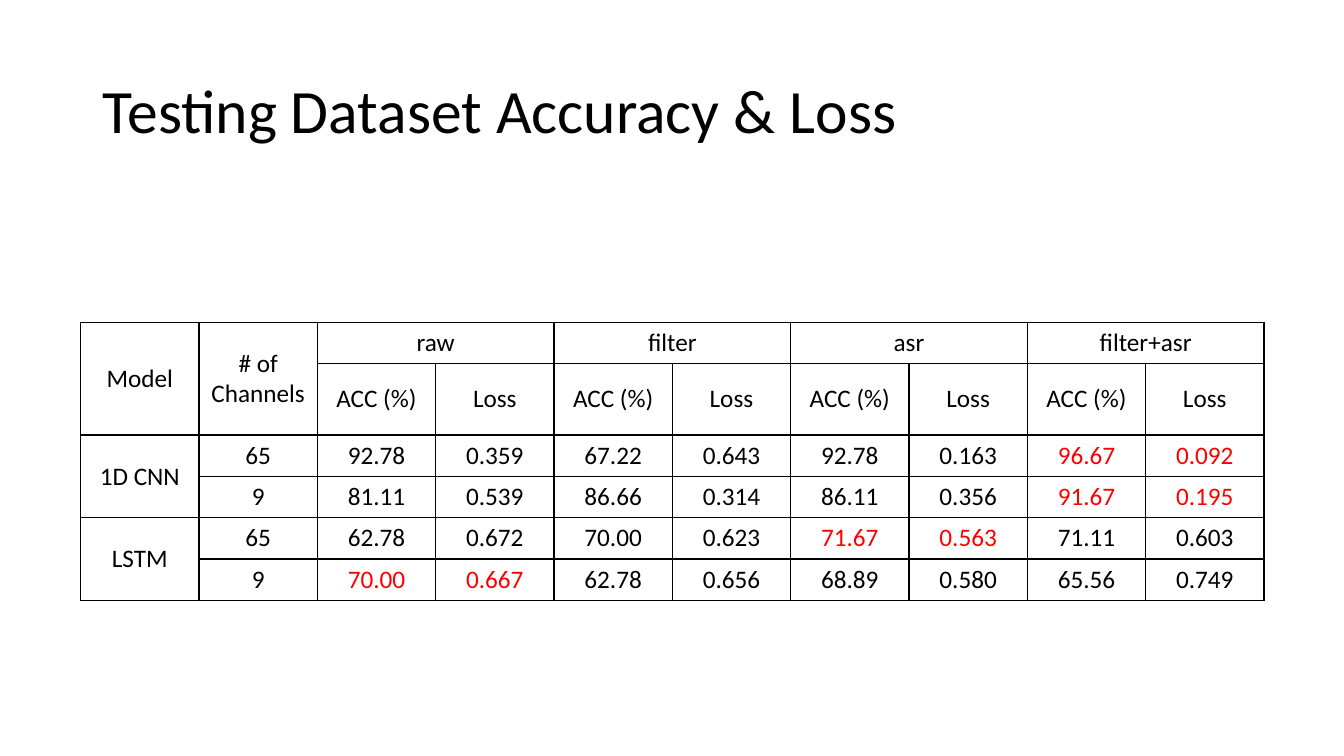
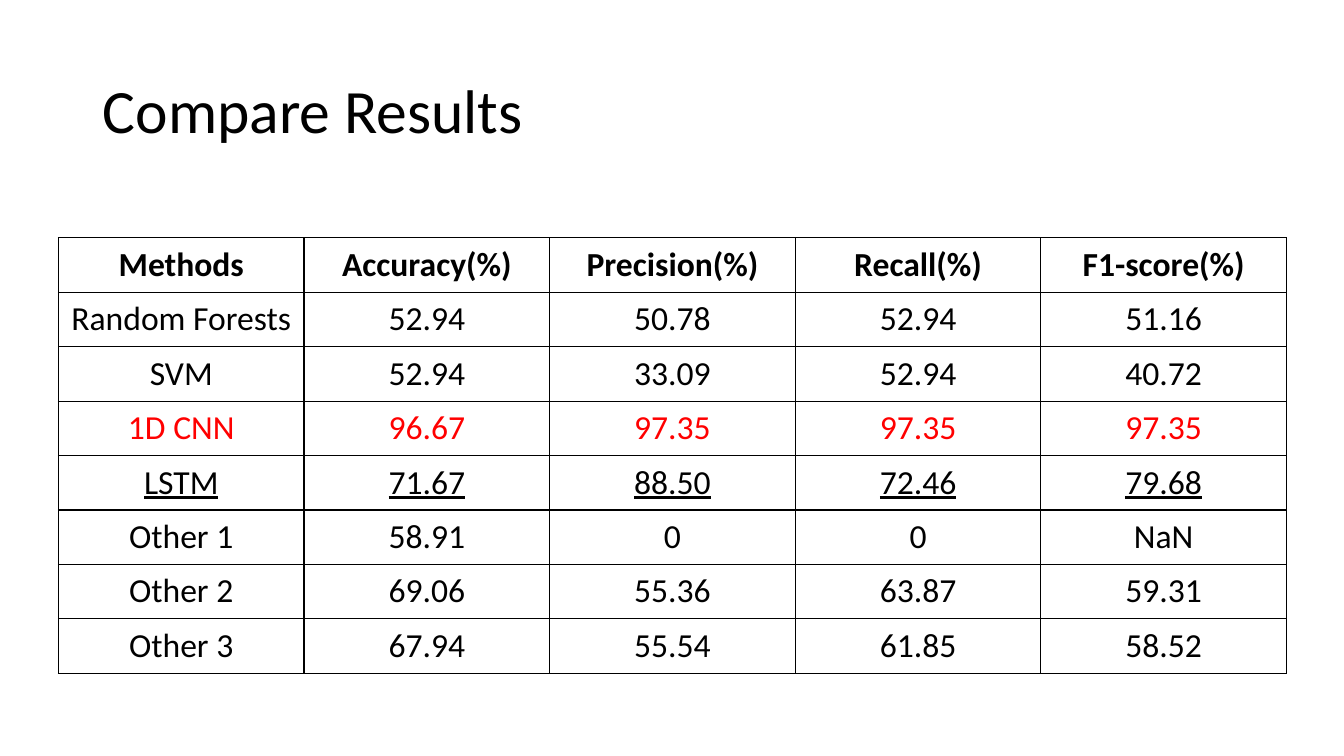
from lxml.etree import SubElement
from pptx import Presentation
from pptx.dml.color import RGBColor
from pptx.enum.text import MSO_ANCHOR, MSO_AUTO_SIZE, PP_ALIGN
from pptx.oxml.ns import qn
from pptx.util import Inches, Pt

BLACK, RED = "000000", "FF0000"
THIN, THICK = 1, 2.25


def write(frame, text, size=18, color=BLACK, bold=False, under=False,
          align=PP_ALIGN.CENTER, space=None):
    para = frame.paragraphs[0]
    para.alignment = align
    para.line_spacing = space
    run = para.add_run()
    run.text = text
    font = run.font
    font.name, font.size = "Calibri", Pt(size)
    font.bold, font.underline = bold, under
    font.color.rgb = RGBColor.from_string(color)


def add_grid(slide, left, top, width, heights, cols, rule=None):
    """Add an unfilled, ruled table; the line below row number rule is thick."""
    rows = len(heights)
    table = slide.shapes.add_table(rows, cols, Inches(left), Inches(top),
                                   Inches(width), Inches(sum(heights))).table
    table.first_row = table.horz_banding = False
    for row, height in zip(table.rows, heights):
        row.height = Inches(height)
    for col in table.columns:
        col.width = Inches(width / cols)
    for r in range(rows):
        for c in range(cols):
            cell = table.cell(r, c)
            cell.vertical_anchor = MSO_ANCHOR.MIDDLE
            props = cell._tc.get_or_add_tcPr()
            for side in "LRTB":
                heavy = rule is not None and (side, r) in (("B", rule), ("T", rule + 1))
                line = SubElement(props, qn(f"a:ln{side}"),
                                  w=str(Pt(THICK if heavy else THIN)))
                fill = SubElement(line, qn("a:solidFill"))
                SubElement(fill, qn("a:srgbClr"), val=BLACK)
            cell.fill.background()
    return table


deck = Presentation()
deck.slide_width, deck.slide_height = Inches(13.33), Inches(7.5)

slides = []
for name in ("Testing Dataset Accuracy & Loss", "Compare Results"):
    slide = deck.slides.add_slide(deck.slide_layouts[5])
    title = slide.shapes.title
    title.left, title.top = Inches(0.92), Inches(0.4)
    title.width, title.height = Inches(11.5), Inches(1.45)
    frame = title.text_frame
    frame.word_wrap = True
    frame.auto_size = MSO_AUTO_SIZE.NONE
    frame.vertical_anchor = MSO_ANCHOR.MIDDLE
    write(frame, name, size=44, align=PP_ALIGN.LEFT, space=0.9)
    slides.append(slide)

# Accuracy and loss by model, channel count and input
inputs = ["raw", "filter", "asr", "filter+asr"]
models = ["1D CNN", "LSTM"]
scores = [
    ["65", "92.78", "0.359", "67.22", "0.643", "92.78", "0.163", "96.67", "0.092"],
    ["9", "81.11", "0.539", "86.66", "0.314", "86.11", "0.356", "91.67", "0.195"],
    ["65", "62.78", "0.672", "70.00", "0.623", "71.67", "0.563", "71.11", "0.603"],
    ["9", "70.00", "0.667", "62.78", "0.656", "68.89", "0.580", "65.56", "0.749"],
]
table = add_grid(slides[0], 0.8, 3.2, 11.74, [0.35] * 2 + [0.41] * 4, 10)

spans = [(0, 0, 2, 1, "Model"), (0, 1, 2, 1, "# of Channels")]
spans += [(0, 2 + 2 * i, 1, 2, name) for i, name in enumerate(inputs)]
spans += [(2 + 2 * i, 0, 2, 1, name) for i, name in enumerate(models)]
for r, c, high, wide, text in spans:
    table.cell(r, c).merge(table.cell(r + high - 1, c + wide - 1))
    write(table.cell(r, c).text_frame, text)

for c, text in enumerate(["ACC (%)", "Loss"] * len(inputs), 2):
    write(table.cell(1, c).text_frame, text)

for r, row in enumerate(scores, 2):
    best = row.index(max(row[1::2], key=float), 1)
    for c, text in enumerate(row):
        color = RED if c in (best, best + 1) else BLACK
        write(table.cell(r, c + 1).text_frame, text, color=color)

# Methods compared
results = [
    ["Methods", "Accuracy(%)", "Precision(%)", "Recall(%)", "F1-score(%)"],
    ["Random Forests", "52.94", "50.78", "52.94", "51.16"],
    ["SVM", "52.94", "33.09", "52.94", "40.72"],
    ["1D CNN", "96.67", "97.35", "97.35", "97.35"],
    ["LSTM", "71.67", "88.50", "72.46", "79.68"],
    ["Other 1", "58.91", "0", "0", "NaN"],
    ["Other 2", "69.06", "55.36", "63.87", "59.31"],
    ["Other 3", "67.94", "55.54", "61.85", "58.52"],
]
styles = {"Methods": {"bold": True}, "1D CNN": {"color": RED}, "LSTM": {"under": True}}
table = add_grid(slides[1], 0.58, 2.36, 12.18, [0.54] * len(results), 5, rule=4)
for r, row in enumerate(results):
    for c, text in enumerate(row):
        write(table.cell(r, c).text_frame, text, size=24, **styles.get(row[0], {}))

deck.save("out.pptx")
